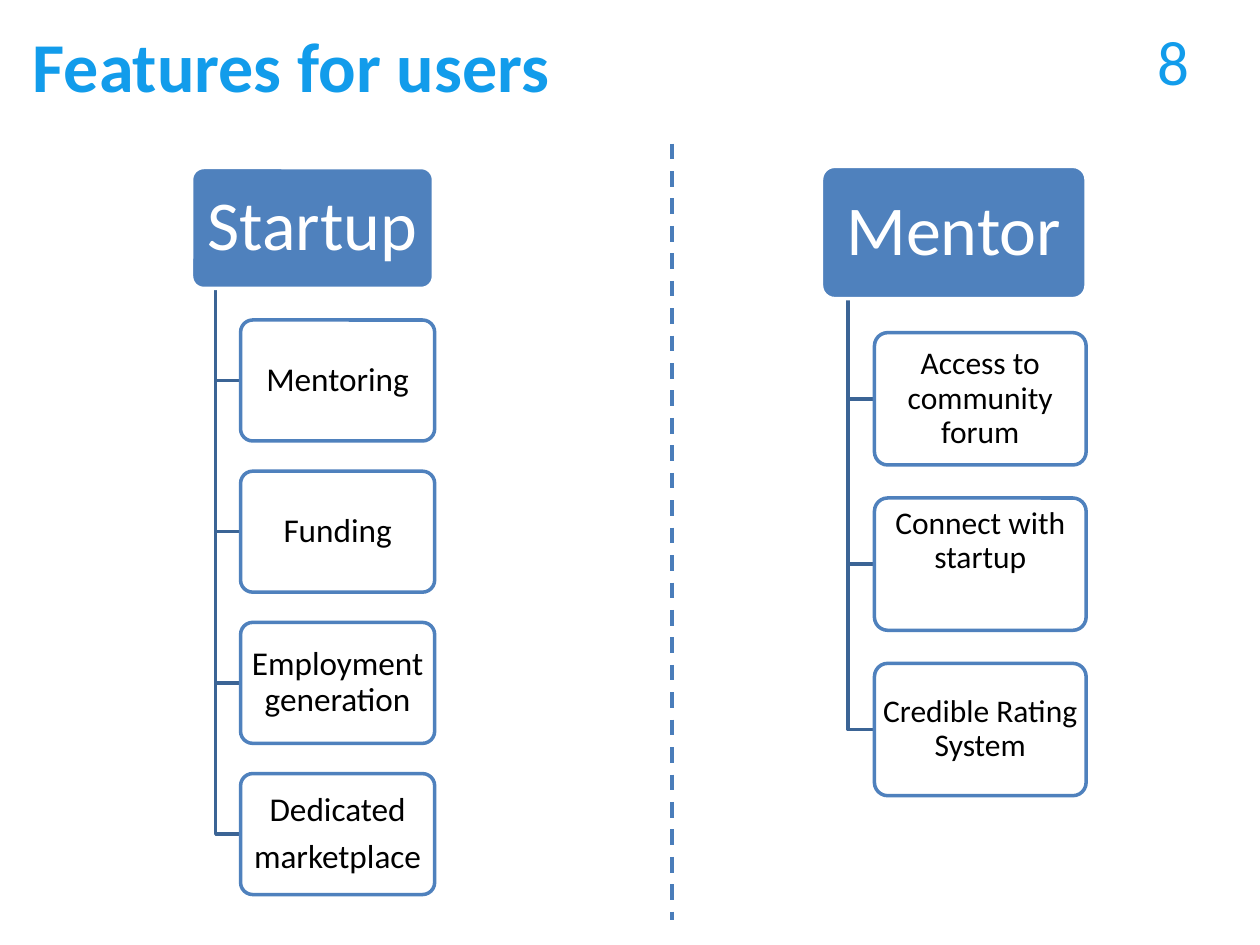
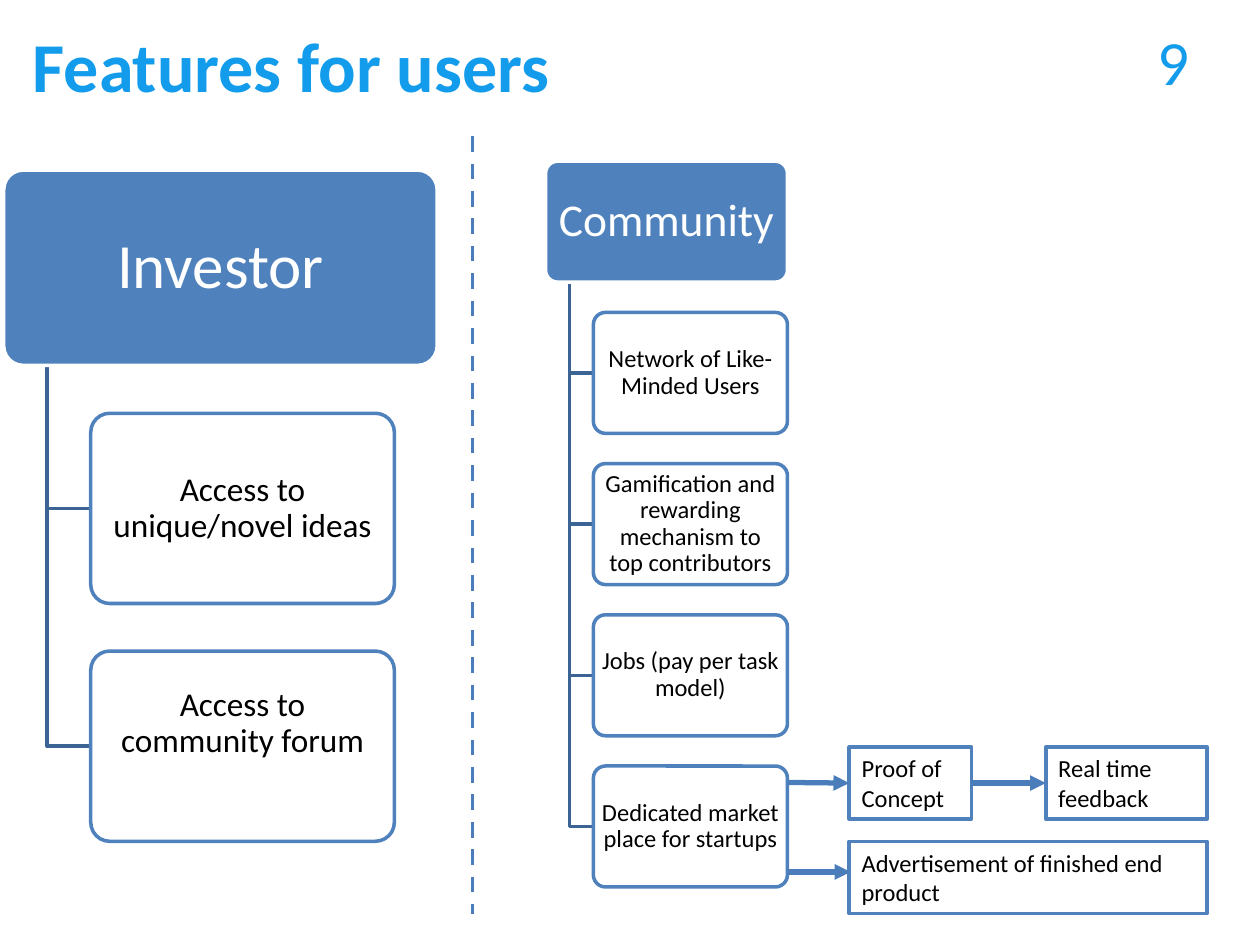
"""Build two slides that show the features for each kind of user."""
from lxml.etree import SubElement
from pptx import Presentation
from pptx.dml.color import RGBColor
from pptx.enum.dml import MSO_LINE
from pptx.enum.shapes import MSO_CONNECTOR, MSO_SHAPE
from pptx.enum.text import MSO_ANCHOR, MSO_AUTO_SIZE, PP_ALIGN
from pptx.oxml.ns import qn
from pptx.util import Inches, Pt

FONT = "Calibri"
SKY = RGBColor(0x12, 0x9C, 0xEB)
BLUE = RGBColor(0x4F, 0x81, 0xBD)
STEEL = RGBColor(0x4A, 0x7D, 0xBA)
NAVY = RGBColor(0x3B, 0x64, 0x95)
WHITE = RGBColor(0xFF, 0xFF, 0xFF)
BLACK = RGBColor(0x00, 0x00, 0x00)


def write(shape, text, size, color, align=PP_ALIGN.LEFT, bold=False):
    """Set the text of a shape and format its runs."""
    frame = shape.text_frame
    frame.text = text
    frame.word_wrap = True
    for par in frame.paragraphs:
        par.alignment = align
        for run in par.runs:
            run.font.name = FONT
            run.font.size = Pt(size)
            run.font.bold = bold
            run.font.color.rgb = color
    return frame


def inset(frame, side, top, bottom=None):
    """Set the margins of a text frame in inches."""
    frame.margin_left = frame.margin_right = Inches(side)
    frame.margin_top = Inches(top)
    frame.margin_bottom = Inches(top if bottom is None else bottom)


def add_box(slide, kind, place, fill, edge):
    """Add a filled shape with a plain edge."""
    box = slide.shapes.add_shape(kind, *map(Inches, place))
    box.shadow.inherit = False
    box.fill.solid()
    box.fill.fore_color.rgb = fill
    box.line.color.rgb = edge
    box.line.width = Pt(2)
    return box


def add_node(slide, place, text, size, fill, edge, color):
    """Add a rounded box with centred text."""
    node = add_box(slide, MSO_SHAPE.ROUNDED_RECTANGLE, place, fill, edge)
    node.adjustments[0] = 0.1
    frame = write(node, text, size, color, PP_ALIGN.CENTER)
    frame.vertical_anchor = MSO_ANCHOR.MIDDLE
    for row, par in enumerate(frame.paragraphs):
        par.line_spacing = 0.9
        par.space_before = Pt(0.35 * size if row else 0)
    return frame


def add_elbow(slide, stem, top, left, mid):
    """Add a line that goes down the stem and turns right."""
    pen = slide.shapes.build_freeform(Inches(stem), Inches(top))
    pen.add_line_segments(
        [(Inches(stem), Inches(mid)), (Inches(left), Inches(mid))], close=False)
    elbow = pen.convert_to_shape()
    elbow.shadow.inherit = False
    elbow.fill.background()
    elbow.line.color.rgb = NAVY
    elbow.line.width = Pt(2)


def add_tree(slide, head, title, big, leaf, items, small, lifted=None):
    """Add a head box with leaf boxes hung below it at equal steps."""
    x, y, width, height = head
    left, top, wide, high = leaf
    for row, item in enumerate(items):
        leaf_top = top + row * 1.25 * high
        add_elbow(slide, x + 0.1 * width, y + height, left, leaf_top + high / 2)
        frame = add_node(slide, (left, leaf_top, wide, high), item, small,
                         WHITE, BLUE, BLACK)
        inset(frame, 0.03, 0.02, 0.38 if item == lifted else None)
    inset(add_node(slide, head, title, big, BLUE, WHITE, WHITE), 0.05, 0.05)


def add_note(slide, place, text):
    """Add a square box with left text."""
    note = add_box(slide, MSO_SHAPE.RECTANGLE, place, WHITE, BLUE)
    frame = write(note, text, 14, BLACK)
    frame.vertical_anchor = MSO_ANCHOR.TOP
    inset(frame, 0.1, 0.05)
    return note


def add_line(slide, start, end, width):
    """Add a straight line between two points."""
    line = slide.shapes.add_connector(
        MSO_CONNECTOR.STRAIGHT, *map(Inches, start + end))
    line.line.color.rgb = STEEL
    line.line.width = Pt(width)
    SubElement(line._element.spPr, qn("a:effectLst"))
    return line


def add_split(slide, x, top, bottom):
    """Add the dashed line between two trees."""
    add_line(slide, (x, top), (x, bottom), 2.25).line.dash_style = MSO_LINE.DASH


def add_arrow(slide, start, end):
    """Add a line with an arrowhead at its end."""
    arrow = add_line(slide, start, end, 3)
    SubElement(arrow.line._get_or_add_ln(), qn("a:tailEnd"), type="triangle")
    return arrow


def add_page(deck, number):
    """Add a slide with the shared title and its page number."""
    slide = deck.slides.add_slide(deck.slide_layouts[5])
    title = slide.shapes.title
    title.left, title.top, title.width, title.height = map(
        Inches, (0.25, 0.17, 7.25, 0.69))
    label = slide.shapes.add_textbox(*map(Inches, (9.18, 0.17, 0.62, 0.63)))
    for shape, text, size, bold in (
            (title, "Features for users", 40, True), (label, number, 36, False)):
        frame = write(shape, text, size, SKY, bold=bold)
        frame.auto_size = MSO_AUTO_SIZE.NONE
        frame.vertical_anchor = MSO_ANCHOR.TOP
        inset(frame, 0.01, 0.01, 0)
    return slide


def add_first(deck):
    """Add the slide for startups and mentors."""
    slide = add_page(deck, "8")
    add_tree(slide, (1.52, 1.33, 1.92, 0.96), "Startup", 40,
             (1.91, 2.54, 1.54, 0.96),
             ["Mentoring", "Funding", "Employment generation",
              "Dedicated\nmarketplace"], 19)
    add_tree(slide, (6.52, 1.32, 2.1, 1.05), "Mentor", 40,
             (6.94, 2.64, 1.68, 1.05),
             ["Access to community forum", "Connect with startup",
              "Credible Rating System"], 18, "Connect with startup")
    add_split(slide, 5.33, 1.14, 7.3)


def add_second(deck):
    """Add the slide for investors and the community."""
    slide = add_page(deck, "9")
    add_tree(slide, (4.33, 1.28, 1.92, 0.96), "Community", 26,
             (4.71, 2.48, 1.54, 0.96),
             ["Network of Like-Minded Users",
              "Gamification and rewarding mechanism to top contributors",
              "Jobs (pay per task model)",
              "Dedicated market place for startups"], 14)
    add_tree(slide, (0.03, 1.35, 3.44, 1.55), "Investor", 36,
             (0.72, 3.28, 2.41, 1.51),
             ["Access to unique/novel ideas", "Access to community forum"],
             19, "Access to community forum")
    add_split(slide, 3.75, 1.08, 7.25)
    proof = add_note(slide, (6.74, 5.93, 0.97, 0.57), "Proof of Concept")
    reply = add_note(slide, (8.3, 5.93, 1.28, 0.57), "Real time feedback")
    add_note(slide, (6.74, 6.68, 2.84, 0.57),
             "Advertisement of finished end product")
    add_arrow(slide, (6.25, 6.21), (6.74, 6.21)).end_connect(proof, 1)
    add_arrow(slide, (6.25, 6.92), (6.75, 6.92))
    link = add_arrow(slide, (7.71, 6.21), (8.3, 6.21))
    link.begin_connect(proof, 3)
    link.end_connect(reply, 1)


def main():
    """Build and save the deck."""
    deck = Presentation()
    deck.slide_width, deck.slide_height = Inches(10), Inches(7.5)
    add_first(deck)
    add_second(deck)
    deck.save("out.pptx")


if __name__ == "__main__":
    main()
